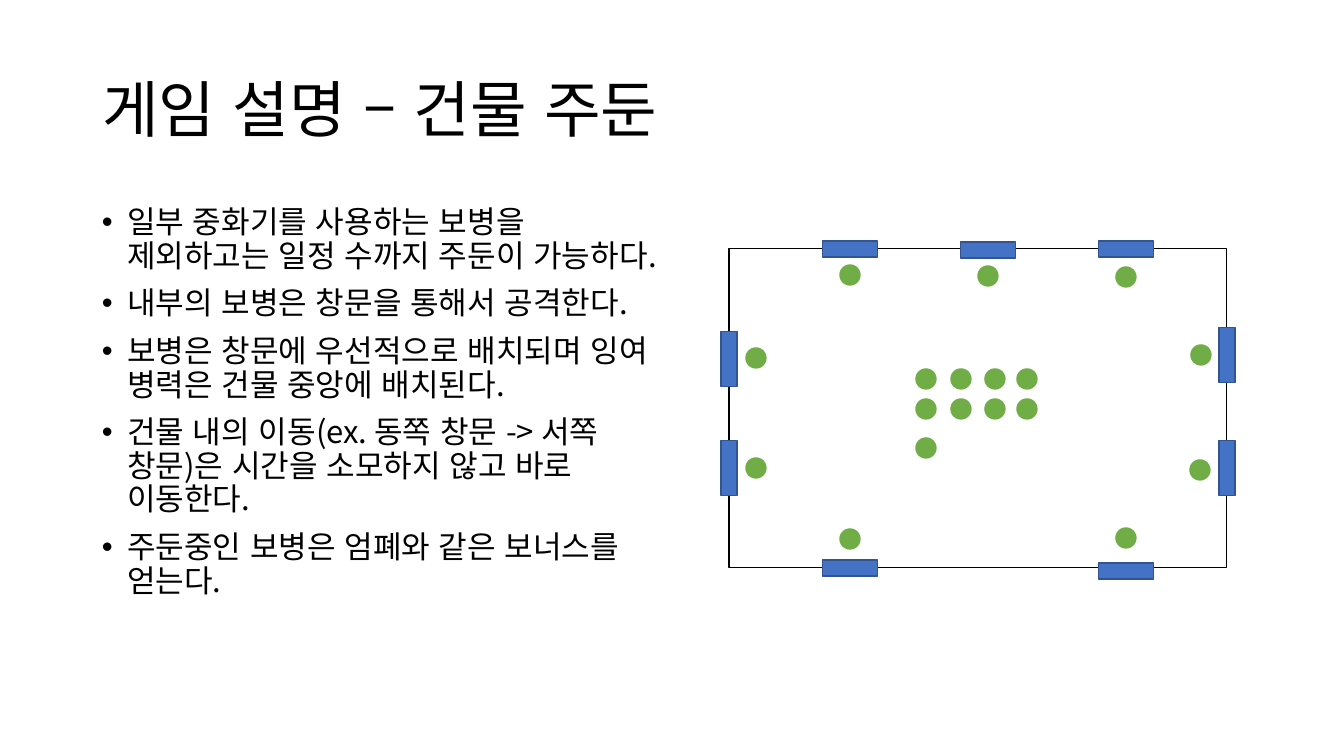
"""Build the slide that explains how infantry garrison a building."""
from itertools import product

from lxml import etree
from pptx import Presentation
from pptx.dml.color import RGBColor
from pptx.enum.lang import MSO_LANGUAGE_ID
from pptx.enum.shapes import MSO_SHAPE
from pptx.enum.text import MSO_ANCHOR, PP_ALIGN
from pptx.oxml.ns import qn
from pptx.util import Emu, Pt

TITLE = "게임 설명 – 건물 주둔"
RULES = [
    "일부 중화기를 사용하는 보병을 제외하고는 일정 수까지 주둔이 가능하다.",
    "내부의 보병은 창문을 통해서 공격한다.",
    "보병은 창문에 우선적으로 배치되며 잉여 병력은 건물 중앙에 배치된다.",
    "건물 내의 이동(ex. 동쪽 창문 -> 서쪽 창문)은 시간을 소모하지 않고 바로 이동한다.",
    "주둔중인 보병은 엄폐와 같은 보너스를 얻는다.",
]

SLIDE_SIZE = (1344, 756)
TITLE_BOX = (92, 40, 1159, 146)
RULES_BOX = (92, 202, 578, 480)
BUILDING = (729, 249, 498, 319)
WALL_WINDOWS = [(850, 249), (988, 250), (1126, 249), (850, 568), (1126, 571)]
SIDE_WINDOWS = [(729, 359), (729, 468), (1227, 355), (1227, 468)]
WINDOW_LENGTH, WINDOW_DEPTH = 55, 16
GUARDS = [(850, 275), (988, 276), (1126, 277), (756, 358), (1201, 355),
          (756, 468), (1200, 470), (850, 539), (1126, 538)]
RESERVES = [*product((926, 961, 995, 1027), (379, 409)), (926, 448)]
SOLDIER_SIZE = 20

FONT = "Noto Sans CJK KR"
BLACK = RGBColor(0x00, 0x00, 0x00)
WHITE = RGBColor(0xFF, 0xFF, 0xFF)
BLUE = RGBColor(0x44, 0x72, 0xC4)
DARK_BLUE = RGBColor(0x32, 0x54, 0x91)
GREEN = RGBColor(0x70, 0xAD, 0x47)
RECTANGLE, OVAL = MSO_SHAPE.RECTANGLE, MSO_SHAPE.OVAL
MIDDLE, LEFT = MSO_ANCHOR.MIDDLE, PP_ALIGN.LEFT
KOREAN = MSO_LANGUAGE_ID.KOREAN
TITLE_ONLY = 5
EMU_PER_PX = 12192000 / 1344


def px(length):
    return Emu(round(length * EMU_PER_PX))


def style_paragraph(para, size):
    para.alignment = LEFT
    para.line_spacing = 0.9
    font = para.font
    font.size = Pt(size)
    font.color.rgb = BLACK
    font.name = FONT
    properties = para._p.pPr.find(qn("a:defRPr"))
    etree.SubElement(properties, qn("a:ea"), typeface=FONT)
    for span in para.runs:
        span.font.language_id = KOREAN


def add_title(page):
    title = page.shapes.title
    title.left, title.top, title.width, title.height = map(px, TITLE_BOX)
    frame = title.text_frame
    frame.text = TITLE
    frame.vertical_anchor = MIDDLE
    style_paragraph(frame.paragraphs[0], 44)


def add_rules(page):
    frame = page.shapes.add_textbox(*map(px, RULES_BOX)).text_frame
    frame.word_wrap = True
    for index, rule in enumerate(RULES):
        para = frame.add_paragraph() if index else frame.paragraphs[0]
        para.text = rule
        properties = para._p.get_or_add_pPr()
        properties.set("marL", str(Pt(18)))
        properties.set("indent", str(-Pt(18)))
        etree.SubElement(properties, qn("a:buFont"), typeface="Arial")
        etree.SubElement(properties, qn("a:buChar"), char="•")
        if index:
            para.space_before = Pt(10)
        style_paragraph(para, 22.2)


def add_figure(page, kind, box, fill, line, weight=1):
    shape = page.shapes.add_shape(kind, *map(px, box))
    shape.shadow.inherit = False
    shape.fill.solid()
    shape.fill.fore_color.rgb = fill
    shape.line.color.rgb = line
    shape.line.width = Pt(weight)


def add_centred(page, kind, centres, width, height, fill, line):
    for x, y in centres:
        box = (x - width / 2, y - height / 2, width, height)
        add_figure(page, kind, box, fill, line)


def main():
    deck = Presentation()
    deck.slide_width, deck.slide_height = map(px, SLIDE_SIZE)
    page = deck.slides.add_slide(deck.slide_layouts[TITLE_ONLY])
    add_title(page)
    add_rules(page)
    add_figure(page, RECTANGLE, BUILDING, WHITE, BLACK, 0.75)
    add_centred(page, RECTANGLE, WALL_WINDOWS, WINDOW_LENGTH, WINDOW_DEPTH, BLUE, DARK_BLUE)
    add_centred(page, RECTANGLE, SIDE_WINDOWS, WINDOW_DEPTH, WINDOW_LENGTH, BLUE, DARK_BLUE)
    add_centred(page, OVAL, GUARDS + RESERVES, SOLDIER_SIZE, SOLDIER_SIZE, GREEN, GREEN)
    deck.save("out.pptx")


if __name__ == "__main__":
    main()
